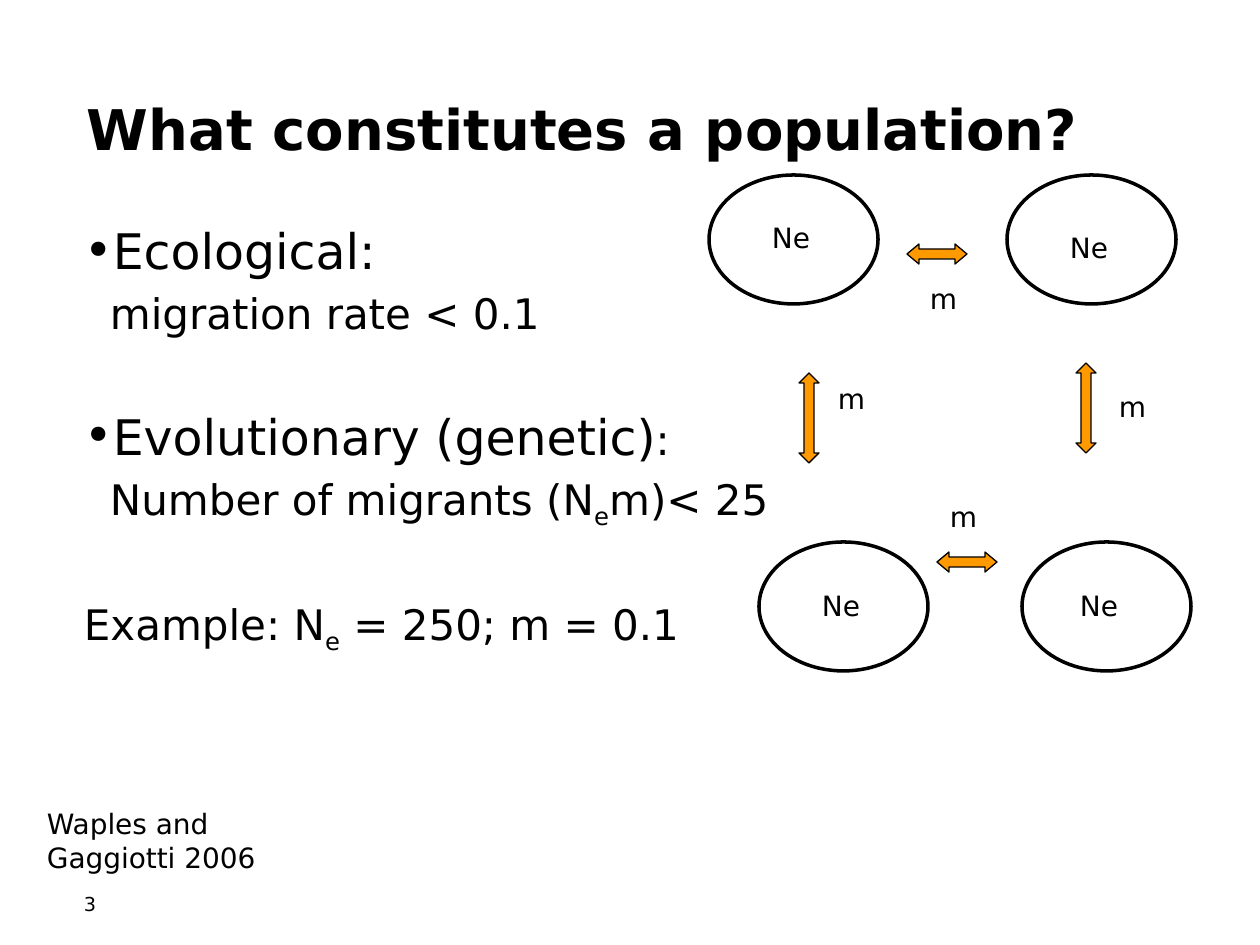
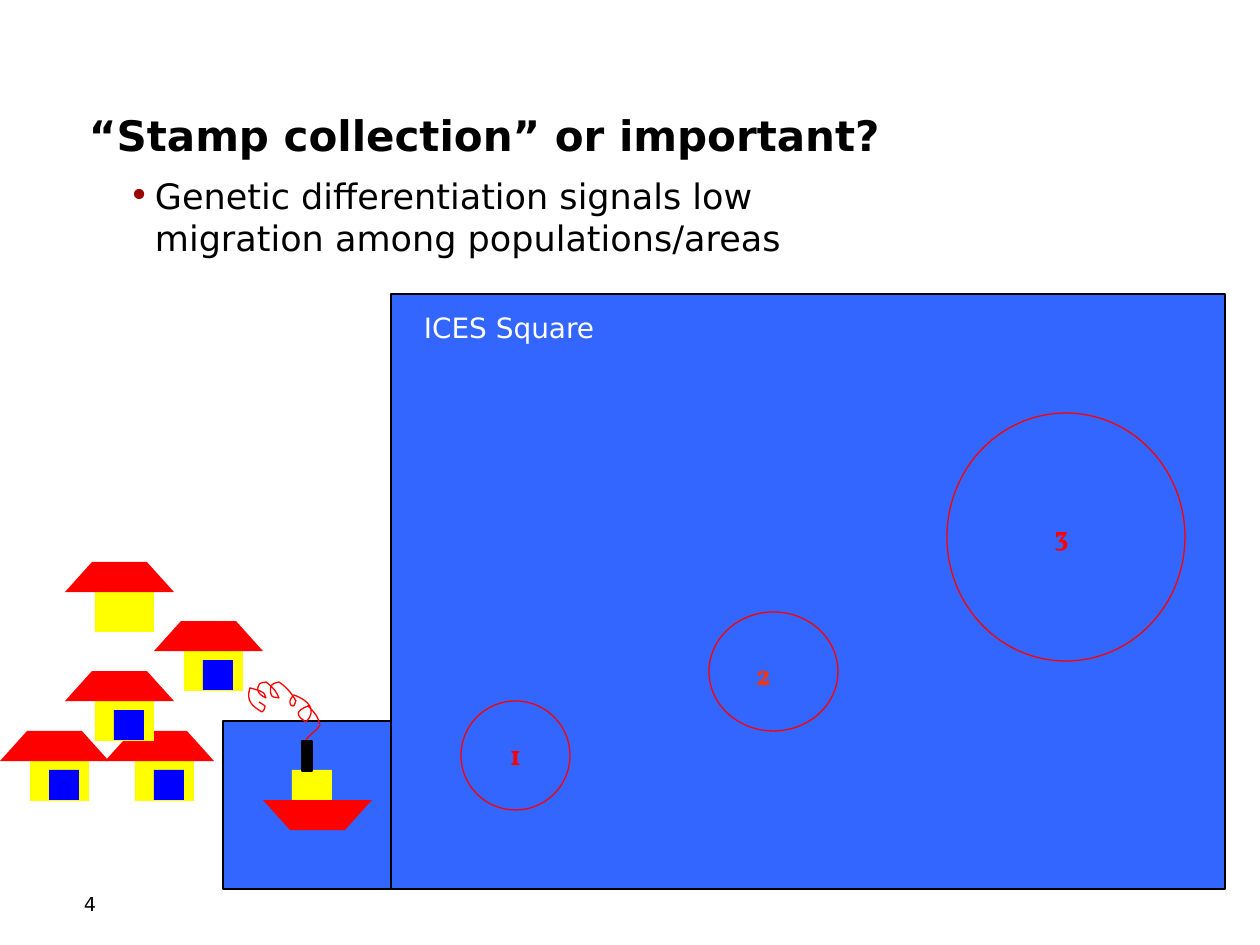
import pptx
import pptx.dml.color
import pptx.enum.shapes
import pptx.enum.text
import pptx.oxml
import pptx.oxml.ns
import pptx.util
from lxml import etree

PX = 914400 / 126
FONT = "DejaVu Sans"
NUMBER_FONT = "Vollkorn"
BLACK = pptx.dml.color.RGBColor(0x00, 0x00, 0x00)
WHITE = pptx.dml.color.RGBColor(0xFF, 0xFF, 0xFF)
RED = pptx.dml.color.RGBColor(0xFF, 0x00, 0x00)
VERMILION = pptx.dml.color.RGBColor(0xFF, 0x33, 0x00)
DARK_RED = pptx.dml.color.RGBColor(0x99, 0x00, 0x00)
ORANGE = pptx.dml.color.RGBColor(0xFF, 0x99, 0x00)
YELLOW = pptx.dml.color.RGBColor(0xFF, 0xFF, 0x00)
BLUE = pptx.dml.color.RGBColor(0x00, 0x00, 0xFF)
SEA = pptx.dml.color.RGBColor(0x33, 0x66, 0xFF)

SHAPES = pptx.enum.shapes.MSO_SHAPE
LEFT = pptx.enum.text.PP_ALIGN.LEFT
CENTER = pptx.enum.text.PP_ALIGN.CENTER
TOP = pptx.enum.text.MSO_ANCHOR.TOP
BOTTOM = pptx.enum.text.MSO_ANCHOR.BOTTOM

HANG = 26
SMOKE_START = (60, 58)
SMOKE_CURVES = [
    (64, 52, 71, 49, 74, 43), (72, 34, 68, 30, 62, 24),
    (50, 29, 49, 33, 60, 40), (72, 28, 62, 18, 48, 13),
    (47, 14, 45, 16, 44, 19), (44, 20, 44, 24, 47, 24),
    (49, 24, 49, 20, 50, 19), (45, 10, 40, 5, 33, 0),
    (30, 1, 28, 1, 26, 3), (24, 5, 24, 11, 26, 14),
    (28, 16, 30, 15, 33, 16), (32, 14, 32, 13, 30, 10),
    (28, 6, 20, 0, 20, 0), (18, 1, 14, 0, 13, 3),
    (9, 10, 16, 14, 20, 16), (19, 14, 19, 11, 16, 10),
    (13, 8, 4, 6, 4, 6), (0, 19, 6, 24, 16, 30),
    (18, 29, 19, 26, 19, 24), (18, 23, 13, 20, 13, 20),
]


def emu(pixels):
    """Turn px into EMU."""
    return pptx.util.Emu(round(pixels * PX))


def add_text(paragraph, text, size=16, color=BLACK, bold=False, font=FONT, subscript=False):
    """Add one formatted run to a paragraph."""
    run = paragraph.add_run()
    run.text = text
    run.font.name = font
    run.font.size = pptx.util.Pt(size)
    run.font.bold = bold
    run.font.color.rgb = color
    if subscript:
        run.font._element.set("baseline", "-25000")


def add_text_frame(slide, box, inset=(0, 0), anchor=TOP, wrap=True):
    """Add an empty text box and return its text frame."""
    frame = slide.shapes.add_textbox(*map(emu, box)).text_frame
    frame.word_wrap = wrap
    frame.vertical_anchor = anchor
    frame.margin_left = frame.margin_right = emu(inset[0])
    frame.margin_top = frame.margin_bottom = emu(inset[1])
    return frame


def add_label(slide, box, text, align=LEFT, wrap=True, **text_format):
    """Add a padded text box with one line of text."""
    paragraph = add_text_frame(slide, box, (13, 7), wrap=wrap).paragraphs[0]
    paragraph.alignment = align
    add_text(paragraph, text, **text_format)


def indent(paragraph, bullet_color=None, first=0):
    """Indent a paragraph, with a hanging bullet if a colour is given."""
    properties = paragraph._p.get_or_add_pPr()
    properties.set("marL", str(emu(HANG)))
    properties.set("indent", str(emu(first)))
    if bullet_color is not None:
        properties.set("indent", str(emu(-HANG)))
        color = etree.SubElement(properties, pptx.oxml.ns.qn("a:buClr"))
        etree.SubElement(color, pptx.oxml.ns.qn("a:srgbClr"), val=str(bullet_color))
        etree.SubElement(properties, pptx.oxml.ns.qn("a:buFont"), typeface=FONT)
        etree.SubElement(properties, pptx.oxml.ns.qn("a:buChar"), char="•")


def paint(shape, fill=None, line=None, width=0.75):
    """Set the fill and outline of a shape, without shadow."""
    shape.shadow.inherit = False
    if fill is None:
        shape.fill.background()
    else:
        shape.fill.solid()
        shape.fill.fore_color.rgb = fill
    if line is None:
        shape.line.fill.background()
    else:
        shape.line.color.rgb = line
        shape.line.width = pptx.util.Pt(width)


def add_preset(shapes, kind, box, adjustments=(), **style):
    """Add a painted preset shape."""
    shape = shapes.add_shape(kind, *map(emu, box))
    for index, value in enumerate(adjustments):
        shape.adjustments[index] = value
    paint(shape, **style)


def add_outline(shapes, left, top, points, close=True, **style):
    """Add a painted freeform through points relative to left and top."""
    placed = [(emu(left + x), emu(top + y)) for x, y in points]
    builder = shapes.build_freeform(*placed[0], scale=1.0)
    builder.add_line_segments(placed[1:], close=close)
    paint(builder.convert_to_shape(), **style)


def add_frame(slide, title, box, size, number):
    """Add the title and the slide number."""
    paragraph = add_text_frame(slide, box, anchor=BOTTOM).paragraphs[0]
    add_text(paragraph, title, size=size, bold=True)
    add_text(add_text_frame(slide, (84, 892, 59, 42)).paragraphs[0], str(number), size=11)


def add_definitions(slide, box):
    """Add the two definitions of a population and the example."""
    frame = add_text_frame(slide, box)
    lines = [
        (0, BLACK, 0, [("Ecological:", 28, False)]),
        (4.6, None, 0, [("migration rate < 0.1", 24, False)]),
        (39, BLACK, 0, [("Evolutionary (genetic)", 28, False), (":", 24, False)]),
        (4.6, None, 0, [("Number of migrants (N", 24, False), ("e", 24, True),
                        ("m)< 25", 24, False)]),
        (38.6, None, -HANG, [("Example: N", 24, False), ("e", 24, True),
                             (" = 250; m = 0.1", 24, False)]),
    ]
    for index, (space, bullet_color, first, runs) in enumerate(lines):
        paragraph = frame.add_paragraph() if index else frame.paragraphs[0]
        paragraph.space_before = pptx.util.Pt(space)
        indent(paragraph, bullet_color, first)
        for text, size, subscript in runs:
            add_text(paragraph, text, size=size, subscript=subscript)


def add_migration_diagram(slide, left, top):
    """Add four populations, the arrows between them and their labels."""
    populations = [(0, 0, 50, 39), (50, 367, 50, 40), (313, 367, 45, 40), (298, 0, 50, 49)]
    for x, y, _, _ in populations:
        add_preset(slide.shapes, SHAPES.OVAL, (left + x, top + y, 169, 129),
                   line=BLACK, width=2)
    upright = (SHAPES.UP_DOWN_ARROW, 20, 90, (0.9, 0.5))
    level = (SHAPES.LEFT_RIGHT_ARROW, 60, 20, (0.5, 0.6))
    migrations = [
        (upright, 90, 198, 116, 200), (upright, 367, 188, 397, 208),
        (level, 198, 69, 208, 100), (level, 228, 377, 228, 318),
    ]
    for (kind, width, height, adjustments), x, y, label_x, label_y in migrations:
        add_preset(slide.shapes, kind, (left + x, top + y, width, height),
                   adjustments, fill=ORANGE, line=BLACK)
        add_label(slide, (left + label_x, top + label_y, 52, 50), "m", wrap=False)
    for x, y, label_x, label_y in populations:
        add_label(slide, (left + x + label_x, top + y + label_y, 66, 50), "Ne", wrap=False)


def add_fishing_areas(slide, left, top):
    """Add the sea square, its harbour and three numbered areas."""
    for box in ((left - 168, top + 427, 168, 168), (left, top, 834, 595)):
        add_preset(slide.shapes, SHAPES.RECTANGLE, box, fill=SEA, line=BLACK)
    areas = [
        ("1", RED, (70, 407, 109, 109), (70, 437, 109)),
        ("2", VERMILION, (318, 318, 129, 119), (318, 357, 109)),
        ("3", RED, (556, 119, 238, 248), (586, 218, 169)),
    ]
    for number, color, (x, y, width, height), (label_x, label_y, label_width) in areas:
        add_preset(slide.shapes, SHAPES.OVAL, (left + x, top + y, width, height), line=RED)
        add_label(slide, (left + label_x, top + label_y, label_width, 47), number,
                  align=CENTER, color=color, bold=True, font=NUMBER_FONT)
    add_label(slide, (left + 20, top + 10, 228, 47), "ICES Square", color=WHITE)


def add_house(slide, left, top, window=True):
    """Add a house with its roof at the given corner."""
    add_preset(slide.shapes, SHAPES.RECTANGLE, (left + 30, top + 29, 59, 41), fill=YELLOW)
    add_outline(slide.shapes, left, top, [(0, 30), (27, 0), (82, 0), (109, 30)], fill=RED)
    if window:
        add_preset(slide.shapes, SHAPES.RECTANGLE, (left + 49, top + 39, 30, 30), fill=BLUE)


def smoke_points(steps=8):
    """Return points along the curves of the smoke."""
    points = [SMOKE_START]
    for x1, y1, x2, y2, x3, y3 in SMOKE_CURVES:
        x0, y0 = points[-1]
        for step in range(1, steps + 1):
            t = step / steps
            u = 1 - t
            weights = (u ** 3, 3 * u * u * t, 3 * u * t * t, t ** 3)
            points.append((sum(w * x for w, x in zip(weights, (x0, x1, x2, x3))),
                           sum(w * y for w, y in zip(weights, (y0, y1, y2, y3)))))
    return points


def add_boat(slide, left, top):
    """Add a grouped boat with smoke from its funnel."""
    shapes = slide.shapes.add_group_shape().shapes
    add_outline(shapes, left + 17, top + 118, [(0, 0), (27, 30), (82, 30), (109, 0)], fill=RED)
    add_preset(shapes, SHAPES.RECTANGLE, (left + 46, top + 88, 40, 30), fill=YELLOW)
    add_preset(shapes, SHAPES.RECTANGLE, (left + 56, top + 59, 10, 30), fill=BLACK, line=BLACK)
    add_outline(shapes, left, top, smoke_points(), close=False, line=RED)


def build_population_slide(slide):
    """Build the slide on what a population is."""
    add_frame(slide, "What constitutes a population?", (87, 5, 1071, 157), 32, 3)
    add_definitions(slide, (84, 221, 1071, 629))
    add_label(slide, (34, 800, 318, 88), "Waples and Gaggiotti 2006")
    add_migration_diagram(slide, 709, 175)


def build_differentiation_slide(slide):
    """Build the slide on genetic differentiation."""
    add_frame(slide, "“Stamp collection” or important?", (89, 76, 824, 84), 24, 4)
    paragraph = add_text_frame(slide, (129, 174, 756, 83)).paragraphs[0]
    indent(paragraph, DARK_RED)
    add_text(paragraph, "Genetic differentiation signals low migration among populations/areas",
             size=20)
    add_fishing_areas(slide, 391, 294)
    add_boat(slide, 246, 682)
    for left, top, window in ((105, 731, True), (65, 562, False), (65, 671, True),
                              (154, 621, True), (0, 731, True)):
        add_house(slide, left, top, window)


def main():
    """Build and save the presentation."""
    presentation = pptx.Presentation()
    presentation.slide_width, presentation.slide_height = emu(1260), emu(945)
    for build in (build_population_slide, build_differentiation_slide):
        build(presentation.slides.add_slide(presentation.slide_layouts[6]))
    presentation.save("out.pptx")


if __name__ == "__main__":
    main()
